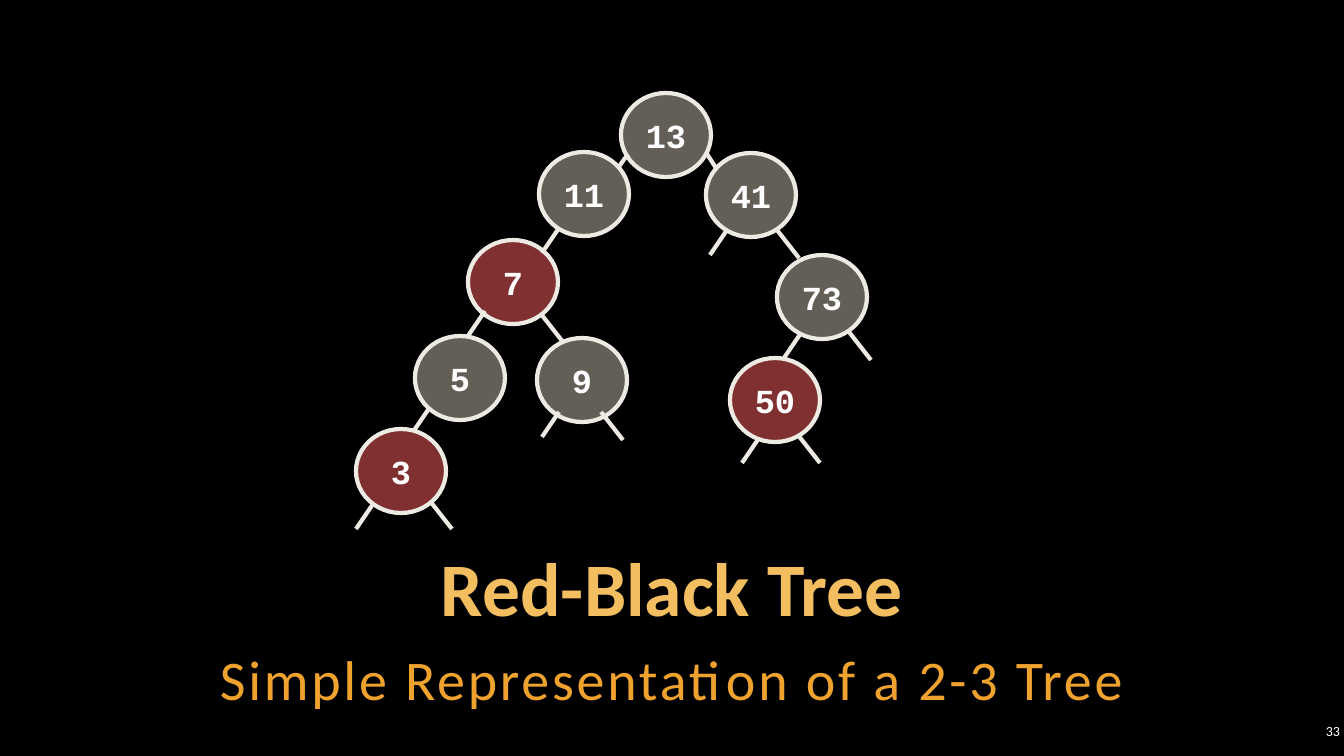
"""Build a slide that shows a red-black tree."""
from lxml import etree
from pptx import Presentation
from pptx.dml.color import RGBColor
from pptx.enum.shapes import MSO_CONNECTOR, MSO_SHAPE
from pptx.enum.text import MSO_ANCHOR, MSO_AUTO_SIZE, PP_ALIGN
from pptx.oxml.ns import qn
from pptx.util import Pt

STRAIGHT, ELLIPSE = MSO_CONNECTOR.STRAIGHT, MSO_SHAPE.OVAL
TOP, MIDDLE, BOTTOM = MSO_ANCHOR.TOP, MSO_ANCHOR.MIDDLE, MSO_ANCHOR.BOTTOM
CENTER, RIGHT = PP_ALIGN.CENTER, PP_ALIGN.RIGHT
NO_FIT = MSO_AUTO_SIZE.NONE

BACKDROP = RGBColor(0x00, 0x00, 0x00)
GOLD = RGBColor(0xF3, 0xBE, 0x60)
ORANGE = RGBColor(0xF0, 0xA2, 0x2E)
WHITE = RGBColor(0xFF, 0xFF, 0xFF)
CREAM = RGBColor(0xEC, 0xEA, 0xE3)
BLACK_NODE = RGBColor(0xC7, 0xBF, 0xAC)
RED_NODE = RGBColor(0xFF, 0x61, 0x61)

TITLE = "Red-Black Tree"
SUBTITLE = "Simple Representation of a 2-3 Tree"
PAGE = "33"
NODES = [
    ("13", 621, 93, BLACK_NODE),
    ("11", 539, 152, BLACK_NODE),
    ("41", 706, 153, BLACK_NODE),
    ("7", 468, 240, RED_NODE),
    ("73", 777, 255, BLACK_NODE),
    ("5", 415, 336, BLACK_NODE),
    ("9", 537, 338, BLACK_NODE),
    ("50", 730, 358, RED_NODE),
    ("3", 356, 429, RED_NODE),
]
NODE_W, NODE_H = 90, 84
BRANCHES = [
    ((-10, 14), [(628, 154)]),
    ((9, 14), [(707, 154)]),
    ((-17, 25), [(559, 228), (727, 230), (485, 311), (801, 333),
                 (430, 407), (559, 412), (759, 438), (373, 504)]),
    ((22, 28), [(777, 230), (541, 314), (849, 332),
                (601, 412), (798, 435), (430, 501)]),
]

SLIDE_W, SLIDE_H = 1344, 756
SCALE = 12192000 / SLIDE_W


def px(n):
    """Turn px into EMU."""
    return round(n * SCALE)


def place(s, left, top, width, height):
    """Move and size a shape in px."""
    s.left, s.top, s.width, s.height = map(px, (left, top, width, height))


def write(s, text, size, color, font="Calibri", bold=False, align=CENTER, anchor=MIDDLE, wrap=True):
    """Write one formatted run and return its paragraph and run."""
    tf = s.text_frame
    tf.auto_size, tf.word_wrap, tf.vertical_anchor = NO_FIT, wrap, anchor
    tf.margin_left = tf.margin_right = tf.margin_top = tf.margin_bottom = px(4)
    p = tf.paragraphs[0]
    p.alignment = align
    r = p.add_run()
    r.text = text
    r.font.name, r.font.size, r.font.bold = font, Pt(size), bold
    r.font.color.rgb = color
    return p, r


def add_node(slide, key, left, top, color):
    """Add a half-transparent tree node."""
    s = slide.shapes.add_shape(ELLIPSE, 0, 0, 0, 0)
    place(s, left, top, NODE_W, NODE_H)
    s.shadow.inherit = False
    s.fill.solid()
    s.fill.fore_color.rgb = color
    clr = s.fill._xPr.find(qn("a:solidFill"))[0]
    etree.SubElement(clr, qn("a:alpha")).set("val", "50000")
    s.line.color.rgb, s.line.width = CREAM, Pt(3)
    write(s, key, 24, WHITE, font="Courier New", bold=True, wrap=False)


def add_branch(slide, x, y, dx, dy):
    """Add a line that leaves a node."""
    c = slide.shapes.add_connector(STRAIGHT, px(x), px(y), px(x + dx), px(y + dy))
    c.line.color.rgb, c.line.width = CREAM, Pt(3)
    etree.SubElement(c._element.spPr, qn("a:effectLst"))


def main():
    """Build and save the slide."""
    prs = Presentation()
    prs.slide_width, prs.slide_height = px(SLIDE_W), px(SLIDE_H)
    slide = prs.slides.add_slide(prs.slide_layouts[1])
    slide.background.fill.solid()
    slide.background.fill.fore_color.rgb = BACKDROP

    title, body = slide.placeholders
    place(title, 101, 546, 1142, 91)
    p, r = write(title, TITLE, 54, GOLD, bold=True, anchor=BOTTOM)
    p.line_spacing = 0.9

    place(body, 101, 634, 1142, 80)
    p, r = write(body, SUBTITLE, 40, ORANGE, anchor=TOP)
    p.line_spacing, p.space_before, p.space_after = 1.1, Pt(0), Pt(6)
    pPr = p._p.get_or_add_pPr()
    pPr.set("marL", "0")
    pPr.set("indent", "0")
    etree.SubElement(pPr, qn("a:buNone"))
    r.font._element.set("spc", "200")

    page = slide.shapes.add_textbox(0, 0, 0, 0)
    place(page, 1296, 720, 48, 22)
    write(page, PAGE, 10, WHITE, align=RIGHT)

    for node in NODES:
        add_node(slide, *node)
    for (dx, dy), starts in BRANCHES:
        for x, y in starts:
            add_branch(slide, x, y, dx, dy)
    prs.save("out.pptx")


if __name__ == "__main__":
    main()
